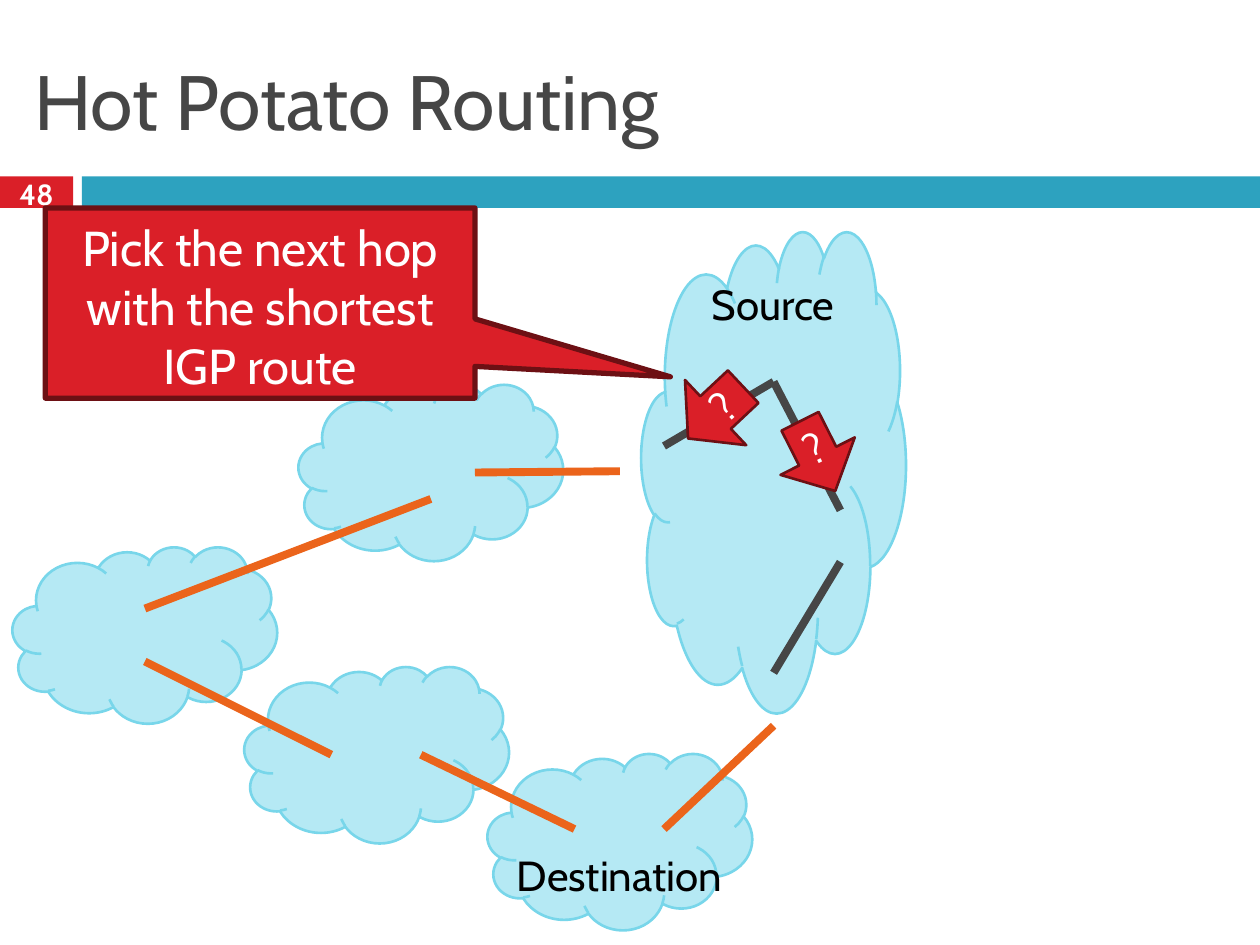
"""Build the Hot Potato Routing slide."""
from lxml.etree import SubElement
from pptx import Presentation
from pptx.dml.color import RGBColor
from pptx.enum.shapes import MSO_CONNECTOR as Link, MSO_SHAPE as Kind
from pptx.enum.text import MSO_ANCHOR as Anchor, PP_ALIGN as Align
from pptx.oxml.ns import qn
from pptx.util import Inches, Pt

RED, DARK, GREY, ORANGE = "DA1F28", "6D1014", "464646", "EB641B"
WHITE, BLACK = "FFFFFF", "000000"


def paint(form, tone):
    if hasattr(form, "solid"):
        form.solid()
        form = form.fore_color
        form.rgb = RGBColor.from_string(tone)
    else:
        form.rgb = RGBColor.from_string(tone)


def write(shape, text, size, tone, align=Align.CENTER, anchor=Anchor.MIDDLE, wrap=True):
    frame = shape.text_frame
    frame.word_wrap = wrap
    frame.vertical_anchor = anchor
    para = frame.paragraphs[0]
    para.alignment = align
    run = para.add_run()
    run.text = text
    run.font.name = "Cabin"
    run.font.size = Pt(size)
    paint(run.font.color, tone)
    return run


deck = Presentation()
deck.slide_width, deck.slide_height = Inches(10), Inches(7.5)
slide = deck.slides.add_slide(deck.slide_layouts[5])
shapes = slide.shapes

title = shapes.title
title.left, title.top = Inches(0.17), Inches(0.25)
title.width, title.height = Inches(9.67), Inches(1.08)
write(title, "Hot Potato Routing", 44, GREY, Align.LEFT)

bars = [(0, 0.58, RED), (0.65, 9.35, "2DA2BF")]
for x, wide, tone in bars:
    bar = shapes.add_shape(Kind.RECTANGLE, Inches(x), Inches(1.4), Inches(wide), Inches(0.25))
    bar.shadow.inherit = False
    paint(bar.fill, tone)
    bar.line.fill.background()

page = shapes.add_textbox(Inches(0), Inches(1.37), Inches(0.58), Inches(0.33))
write(page, "48", 16.6, WHITE).font.bold = True

clouds = [(3.87, 5.98, 1.4), (2.37, 3.05, 1.4), (0.1, 4.34, 1.4),
          (5.09, 1.83, 3.82), (1.94, 5.29, 1.4)]
for x, y, high in clouds:
    cloud = shapes.add_shape(Kind.CLOUD, Inches(x), Inches(y), Inches(2.1), Inches(high))
    cloud.shadow.inherit = False
    paint(cloud.fill, "B5E9F4")
    paint(cloud.line.color, "78D6EA")
    cloud.line.width = Pt(1.5)

links = [
    (1.15, 4.83, 3.42, 3.96, ORANGE),
    (4.92, 3.74, 3.77, 3.75, ORANGE),
    (5.27, 6.58, 6.14, 5.76, ORANGE),
    (2.63, 5.99, 1.15, 5.25, ORANGE),
    (3.34, 5.99, 4.56, 6.58, ORANGE),
    (6.14, 3.03, 6.67, 4.05, GREY),
    (6.14, 5.34, 6.67, 4.46, GREY),
    (6.14, 3.03, 5.27, 3.54, GREY),
]
for *ends, tone in links:
    link = shapes.add_connector(Link.STRAIGHT, *map(Inches, ends))
    paint(link.line.color, tone)
    link.line.width = Pt(4.5)
    SubElement(link._element.spPr, qn("a:effectLst"))

labels = [("Destination", 3.97, 6.69, 1.89), ("Source", 5.5, 2.16, 1.27)]
for text, x, y, wide in labels:
    label = shapes.add_textbox(Inches(x), Inches(y), Inches(wide), Inches(0.5))
    write(label, text, 24, BLACK, anchor=Anchor.TOP, wrap=False)

signs = [
    (Kind.DOWN_ARROW, 6.16, 3.31, 0.66, 0.62, 333.2, False, 1.5, "?"),
    (Kind.RIGHT_ARROW, 5.38, 2.92, 0.6, 0.71, 316.8, True, 1.5, "?"),
    (Kind.RECTANGULAR_CALLOUT, 0.36, 1.65, 3.41, 1.51, 0, True, 3, ""),
]
for kind, x, y, wide, high, turn, flip, thick, text in signs:
    sign = shapes.add_shape(kind, Inches(x), Inches(y), Inches(wide), Inches(high))
    sign.shadow.inherit = False
    sign.rotation = turn
    if flip:
        sign._element.spPr.xfrm.set("flipH", "1")
    paint(sign.fill, RED)
    paint(sign.line.color, DARK)
    sign.line.width = Pt(thick)
    if text:
        write(sign, text, 24, WHITE)
sign.adjustments[0], sign.adjustments[1] = -0.955, 0.388

note = shapes.add_textbox(Inches(0.45), Inches(1.68), Inches(3.23), Inches(1.51))
write(note, "Pick the next hop with the shortest IGP route", 28, WHITE, anchor=Anchor.TOP)

deck.save("out.pptx")
